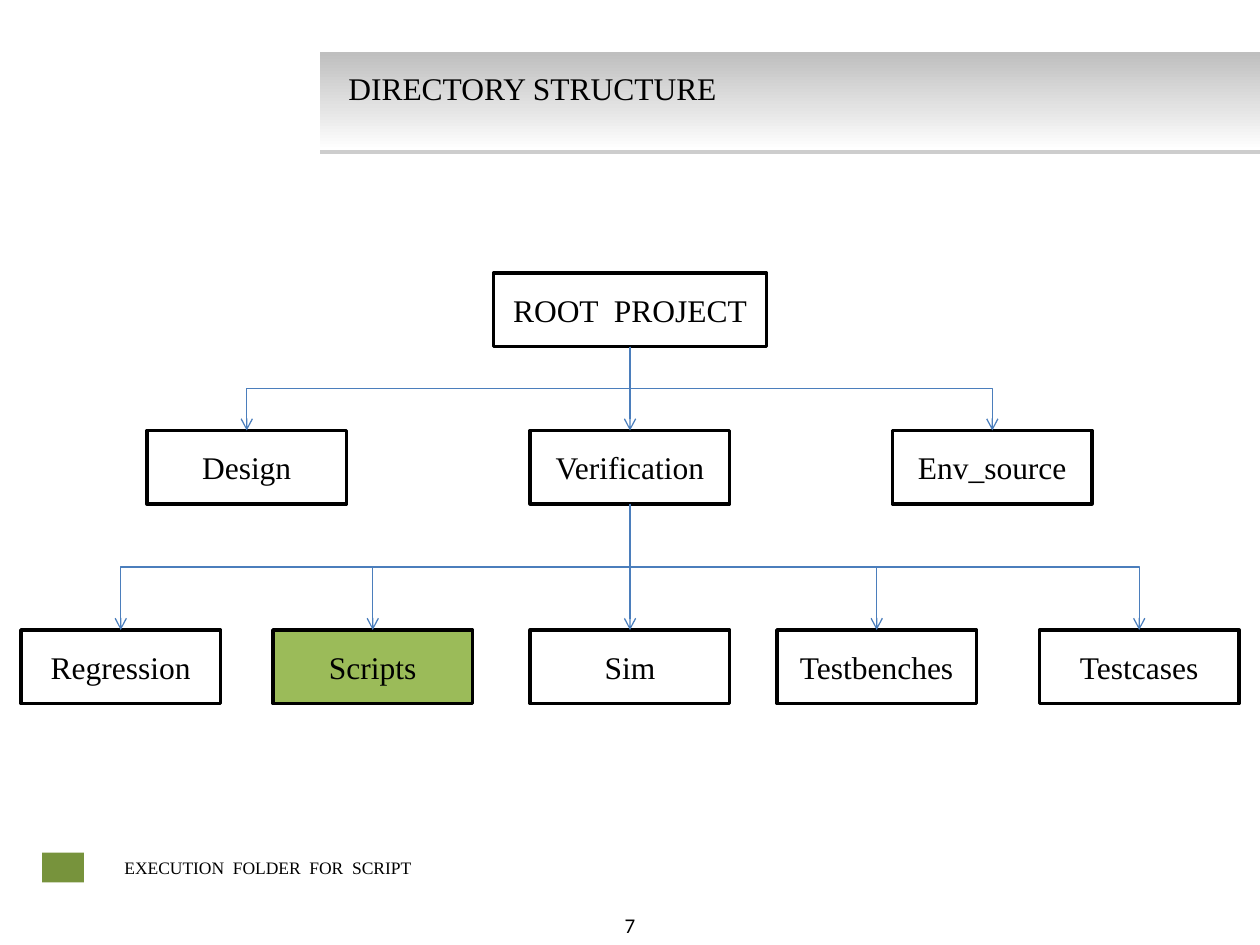
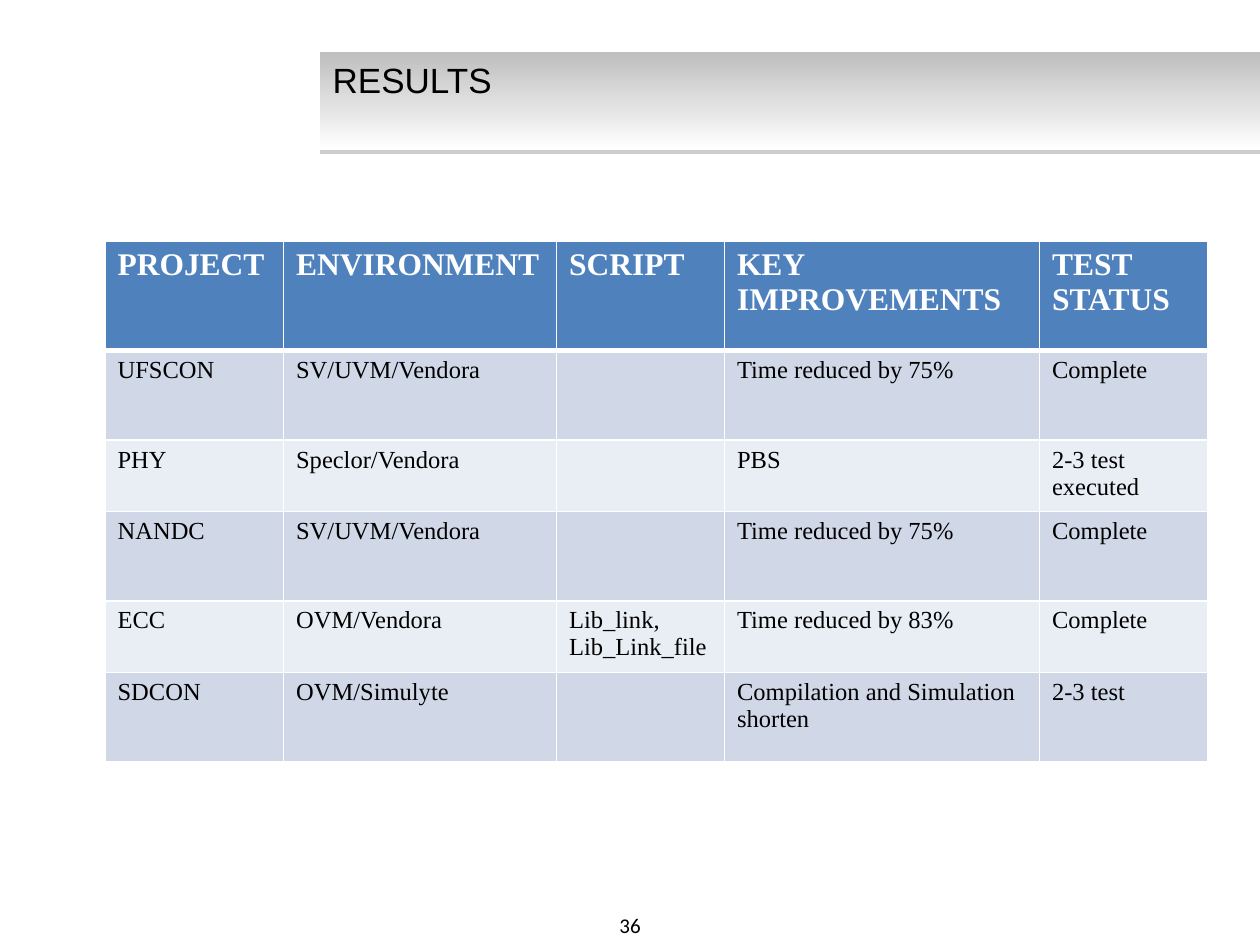
import pptx
import pptx.dml.color
import pptx.enum.shapes
import pptx.enum.text
import pptx.oxml
import pptx.oxml.ns
import pptx.util

Pt = pptx.util.Pt
qn = pptx.oxml.ns.qn
ALIGN = pptx.enum.text.PP_ALIGN
ANCHOR = pptx.enum.text.MSO_ANCHOR
CONNECTOR = pptx.enum.shapes.MSO_CONNECTOR
RECTANGLE = pptx.enum.shapes.MSO_SHAPE.RECTANGLE

COLORS = {
    "text": "000000", "white": "FFFFFF", "band": "BFBFBF", "shadow": "808080",
    "arrow": "4B7EBC", "highlight": "9BBB59", "legend": "77933C",
    "header": "4F81BD", "odd_row": "D0D8E8", "even_row": "E9EDF4",
}
SERIF = "Times New Roman"
BAND = (183, 30, 537, 56)
FOOTER = (276, 517.5, 168, 22.5)
NODE_WIDTH, NODE_HEIGHT = 114, 42

TOP_LEVEL = [("Design", 72), ("Verification", 291), ("Env_source", 498)]
VERIFICATION_LEVEL = [("Regression", 0), ("Scripts", 144), ("Sim", 291),
                      ("Testbenches", 432), ("Testcases", 582)]

COLUMN_WIDTHS = [102, 156, 96, 180, 96]
ROW_HEIGHTS = [62.5, 51, 37, 51, 37, 51]
RESULTS = [
    ["PROJECT", "ENVIRONMENT", "SCRIPT", "KEY\nIMPROVEMENTS", "TEST STATUS"],
    ["UFSCON", "SV/UVM/Vendora", "", "Time reduced by 75%", "Complete"],
    ["PHY", "Speclor/Vendora", "", "PBS", "2-3 test executed"],
    ["NANDC", "SV/UVM/Vendora", "", "Time reduced by 75%", "Complete"],
    ["ECC", "OVM/Vendora", "Lib_link, Lib_Link_file", "Time reduced by 83%", "Complete"],
    ["SDCON", "OVM/Simulyte", "", "Compilation and Simulation shorten", "2-3 test"],
]


def rgb(name):
    return pptx.dml.color.RGBColor.from_string(COLORS[name])


def points(box):
    return [Pt(value) for value in box]


def xml(markup):
    """Parse one element of the drawing namespace."""
    tag, rest = markup[1:].split(" ", 1)
    return pptx.oxml.parse_xml(f"<{tag} {pptx.oxml.ns.nsdecls('a')} {rest}")


def write(text_frame, text, size, font=SERIF, color="text", bold=False, align=ALIGN.LEFT):
    text_frame.text = text
    formats = {"size": Pt(size), "name": font, "bold": bold}
    for paragraph in text_frame.paragraphs:
        paragraph.alignment = align
        for key, value in formats.items():
            setattr(paragraph.font, key, value)
        paragraph.font.color.rgb = rgb(color)
        for run in paragraph.runs:
            for key, value in formats.items():
                setattr(run.font, key, value)
            run.font.color.rgb = rgb(color)


def add_text(slide, box, text, size, anchor=ANCHOR.TOP, **formats):
    text_frame = slide.shapes.add_textbox(*points(box)).text_frame
    text_frame.word_wrap = True
    text_frame.vertical_anchor = anchor
    write(text_frame, text, size, **formats)


def add_rectangle(slide, box, fill=None, outline=None):
    shape = slide.shapes.add_shape(RECTANGLE, *points(box))
    shape.shadow.inherit = False
    if fill:
        shape.fill.solid()
        shape.fill.fore_color.rgb = rgb(fill)
    if outline:
        shape.line.color.rgb = rgb(outline)
        shape.line.width = Pt(2)
    else:
        shape.line.fill.background()
    return shape


def add_band(slide, box):
    band = add_rectangle(slide, box)
    band.fill.gradient()
    band.fill.gradient_angle = 270
    for stop, position, color in zip(band.fill.gradient_stops, (0, 1), ("band", "white")):
        stop.position = position
        stop.color.rgb = rgb(color)
    effects = band.element.spPr.find(qn("a:effectLst"))
    effects.append(xml(
        f'<a:outerShdw blurRad="0" dist="{Pt(1.6)}" dir="5400000" algn="t" rotWithShape="0">'
        f'<a:srgbClr val="{COLORS["shadow"]}"><a:alpha val="38000"/></a:srgbClr></a:outerShdw>'))


def add_base_slide(presentation, number):
    """Add a blank slide with the title band and the page number."""
    slide = presentation.slides.add_slide(presentation.slide_layouts[6])
    add_band(slide, BAND)
    add_text(slide, FOOTER, str(number), 12, anchor=ANCHOR.MIDDLE,
             font="Calibri", align=ALIGN.CENTER)
    return slide


def add_node(slide, text, left, top, width=NODE_WIDTH):
    fill = "highlight" if text == "Scripts" else "white"
    node = add_rectangle(slide, (left, top, width, NODE_HEIGHT), fill, "text")
    frame_format = {"vertical_anchor": ANCHOR.MIDDLE, "word_wrap": True,
                    "margin_left": 0, "margin_right": 0}
    for key, value in frame_format.items():
        setattr(node.text_frame, key, value)
    write(node.text_frame, text, 18, align=ALIGN.CENTER)
    return node


def connect(slide, parent, child):
    """Draw an arrow from the bottom of the parent to the top of the child."""
    start_x, start_y = parent.left + parent.width // 2, parent.top + parent.height
    end_x, end_y = child.left + child.width // 2, child.top
    straight = start_x == end_x
    kind = CONNECTOR.STRAIGHT if straight else CONNECTOR.ELBOW
    connector = slide.shapes.add_connector(kind, start_x, start_y, end_x, end_y)
    connector.begin_connect(parent, 2)
    connector.end_connect(child, 0)
    if not straight:
        turn_downwards(connector, end_x - start_x, end_y - start_y,
                       (start_x + end_x) // 2, (start_y + end_y) // 2)
    connector.line.color.rgb = rgb("arrow")
    connector.line.width = Pt(0.75)
    connector.line._get_or_add_ln().append(xml('<a:tailEnd type="arrow"/>'))
    connector.element.spPr.append(xml("<a:effectLst />"))


def turn_downwards(connector, across, down, center_x, center_y):
    """Rotate an elbow so that it leaves and arrives vertically."""
    frame = {"left": center_x - down // 2, "top": center_y - abs(across) // 2,
             "width": down, "height": abs(across)}
    for key, value in frame.items():
        setattr(connector, key, value)
    transform = connector.element.spPr.find(qn("a:xfrm"))
    transform.set("rot", "5400000" if across < 0 else "16200000")
    transform.set("flipH", "0" if across < 0 else "1")
    transform.set("flipV", "0")


def add_directory_tree(slide, box):
    left, top, width, height = box
    root_width = 156
    root = add_node(slide, "ROOT  PROJECT", left + (width - root_width) / 2, top, root_width)
    folders = {name: add_node(slide, name, left + offset, top + 90)
               for name, offset in TOP_LEVEL}
    subfolders = [add_node(slide, name, left + offset, top + height - NODE_HEIGHT)
                  for name, offset in VERIFICATION_LEVEL]
    for folder in folders.values():
        connect(slide, root, folder)
    for subfolder in subfolders:
        connect(slide, folders["Verification"], subfolder)


def add_legend(slide, box):
    left, top, width, height = box
    add_rectangle(slide, (left, top + 1.25, 24, 17), "legend")
    add_text(slide, (left + 40, top, width - 40, height), "EXECUTION  FOLDER  FOR  SCRIPT", 10)


def set_borders(cell, row):
    widths = {"L": 1, "R": 1, "T": 3 if row == 1 else 1, "B": 3 if row == 0 else 1}
    for side, width in widths.items():
        cell._tc.get_or_add_tcPr().append(xml(
            f'<a:ln{side} w="{Pt(width)}"><a:solidFill><a:srgbClr val="{COLORS["white"]}"/>'
            f"</a:solidFill></a:ln{side}>"))


def add_results_table(slide, box):
    frame = slide.shapes.add_table(len(RESULTS), len(COLUMN_WIDTHS), *points(box))
    table = frame.table
    for column, width in zip(table.columns, COLUMN_WIDTHS):
        column.width = Pt(width)
    for row, height in zip(table.rows, ROW_HEIGHTS):
        row.height = Pt(height)
    for row_index, texts in enumerate(RESULTS):
        header = row_index == 0
        fill = "header" if header else ("even_row", "odd_row")[row_index % 2]
        for column_index, text in enumerate(texts):
            cell = table.cell(row_index, column_index)
            set_borders(cell, row_index)
            cell.fill.solid()
            cell.fill.fore_color.rgb = rgb(fill)
            write(cell.text_frame, text, 18 if header else 14,
                  color="white" if header else "text", bold=header)


def build_directory_slide(presentation):
    slide = add_base_slide(presentation, 7)
    add_directory_tree(slide, (12, 156, 696, 246))
    add_text(slide, (192, 36, 462, 29), "DIRECTORY STRUCTURE", 18)
    add_legend(slide, (24, 486, 244, 19.5))


def build_results_slide(presentation):
    slide = add_base_slide(presentation, 36)
    add_text(slide, BAND, "RESULTS", 20, font="Arial")
    add_results_table(slide, (60, 138, sum(COLUMN_WIDTHS), sum(ROW_HEIGHTS)))


def main():
    presentation = pptx.Presentation()
    presentation.slide_width = Pt(720)
    presentation.slide_height = Pt(540)
    build_directory_slide(presentation)
    build_results_slide(presentation)
    presentation.save("out.pptx")


if __name__ == "__main__":
    main()
